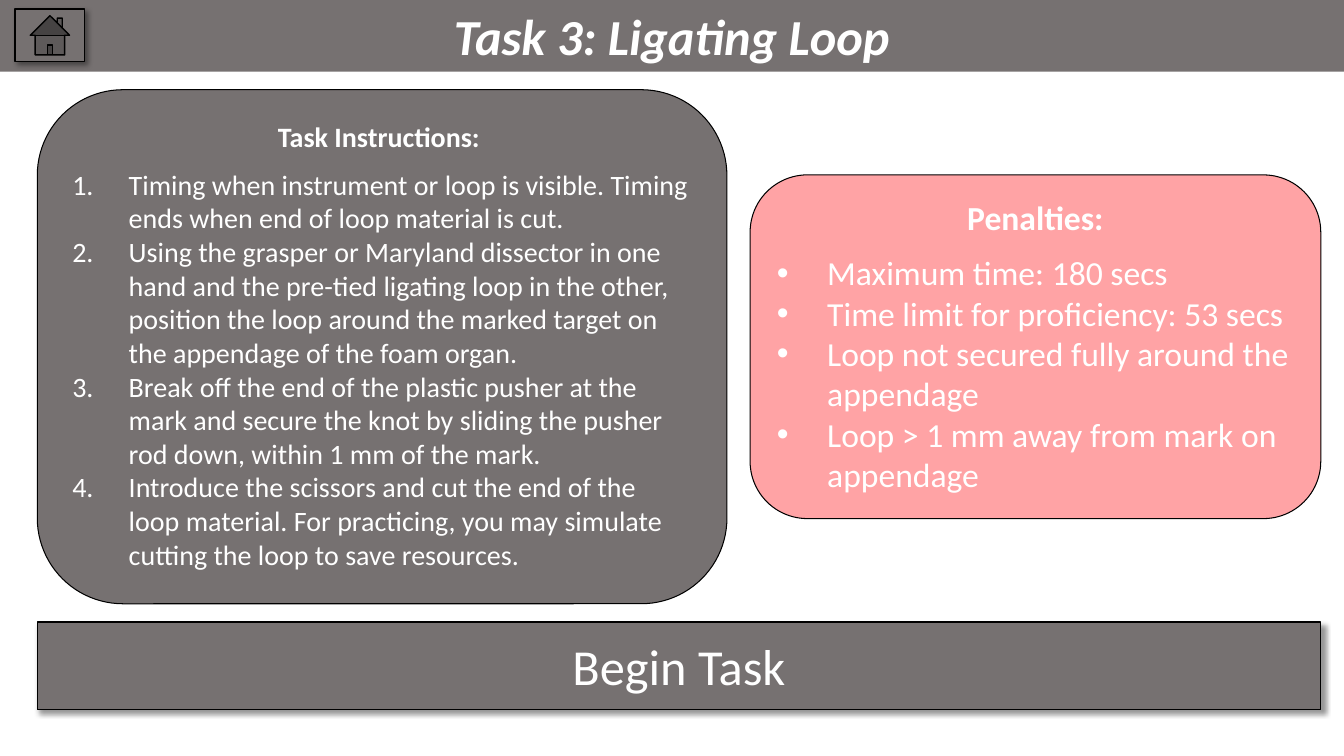
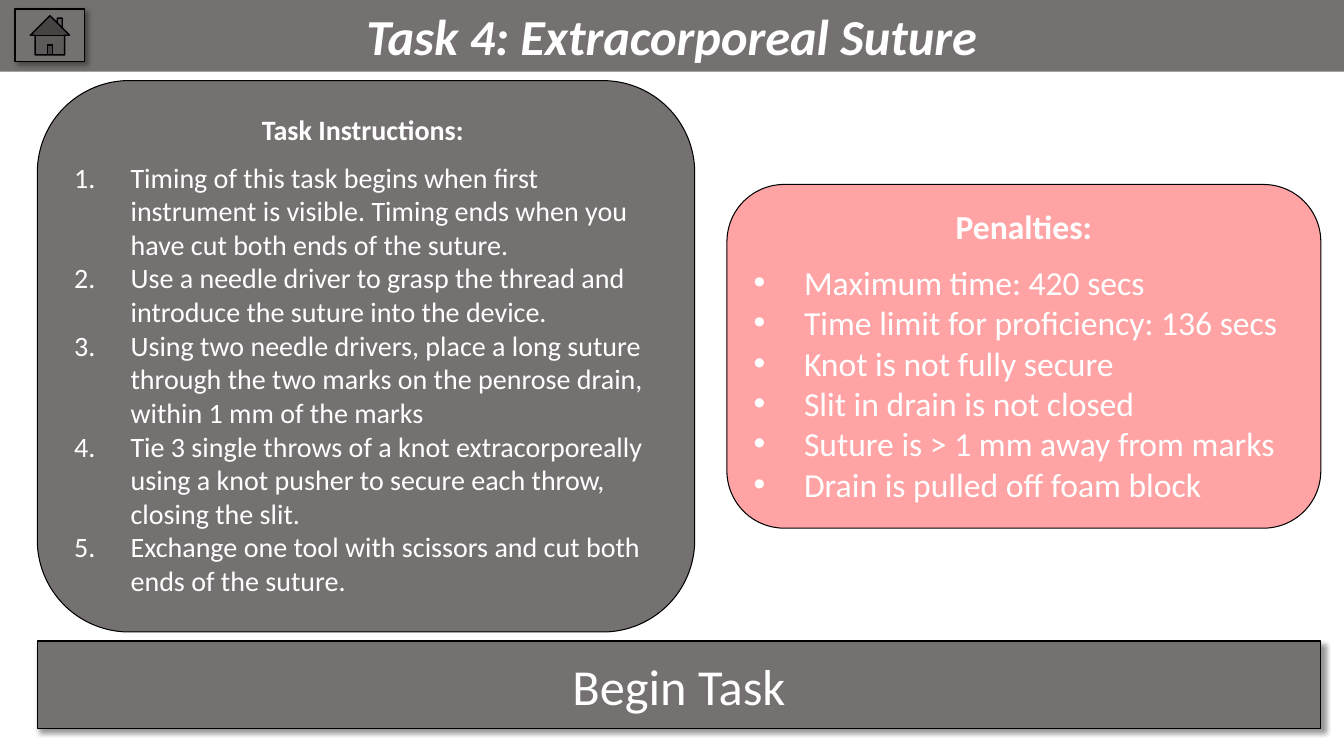
from dataclasses import dataclass

from lxml.etree import SubElement
from pptx import Presentation
from pptx.dml.color import RGBColor
from pptx.enum.shapes import MSO_SHAPE
from pptx.enum.text import MSO_ANCHOR, PP_ALIGN
from pptx.oxml.ns import qn
from pptx.util import Emu, Pt

PX = 9144  # EMU per px, 100 px to the inch
PAGE_WIDTH, PAGE_HEIGHT = 1333, 750
MARGIN_LEFT, MARGIN_RIGHT = 37, 1310
BAR_HEIGHT = 71
PENALTIES_HEIGHT = 341
BUTTON_HEIGHT = 87

FONT = "Calibri"
GREY = RGBColor(0x76, 0x71, 0x71)
PINK = RGBColor(0xFF, 0x7C, 0x80)
BLACK = RGBColor(0, 0, 0)
WHITE = RGBColor(0xFF, 0xFF, 0xFF)


@dataclass
class Task:
    title: str
    instructions: list
    penalties: list
    instructions_size: tuple
    penalties_width: int
    gap: int


@dataclass
class ListStyle:
    size: int
    heading_gap: int
    indent: int
    marker: str
    marker_attributes: dict


NUMBERED = ListStyle(20, 10, 56, "a:buAutoNum", {"type": "arabicPeriod"})
BULLETED = ListStyle(24, 11, 50, "a:buChar", {"char": "•"})

TASKS = [
    Task(
        "Task 3: Ligating Loop",
        [
            "Timing when instrument or loop is visible. Timing ends when end of "
            "loop material is cut.",
            "Using the grasper or Maryland dissector in one hand and the pre-tied "
            "ligating loop in the other, position the loop around the marked "
            "target on the appendage of the foam organ.",
            "Break off the end of the plastic pusher at the mark and secure the "
            "knot by sliding the pusher rod down, within 1 mm of the mark.",
            "Introduce the scissors and cut the end of the loop material. For "
            "practicing, you may simulate cutting the loop to save resources.",
        ],
        [
            "Maximum time: 180 secs",
            "Time limit for proficiency: 53 secs",
            "Loop not secured fully around the appendage",
            "Loop > 1 mm away from mark on appendage",
        ],
        instructions_size=(684, 510), penalties_width=566, gap=18,
    ),
    Task(
        "Task 4: Extracorporeal Suture",
        [
            "Timing of this task begins when first instrument is visible. Timing "
            "ends when you have cut both ends of the suture.",
            "Use a needle driver to grasp the thread and introduce the suture "
            "into the device.",
            "Using two needle drivers, place a long suture through the two marks "
            "on the penrose drain, within 1 mm of the marks",
            "Tie 3 single throws of a knot extracorporeally using a knot pusher "
            "to secure each throw, closing the slit.",
            "Exchange one tool with scissors and cut both ends of the suture.",
        ],
        [
            "Maximum time: 420 secs",
            "Time limit for proficiency: 136 secs",
            "Knot is not fully secure",
            "Slit in drain is not closed",
            "Suture is > 1 mm away from marks",
            "Drain is pulled off foam block",
        ],
        instructions_size=(652, 547), penalties_width=589, gap=9,
    ),
]


def add_box(page, kind, bounds, fill, line_width=0):
    box = page.shapes.add_shape(kind, *(Emu(round(n * PX)) for n in bounds))
    box.shadow.inherit = False
    box.fill.solid()
    box.fill.fore_color.rgb = fill
    if line_width:
        box.line.color.rgb = BLACK
        box.line.width = Pt(line_width)
    else:
        box.line.fill.background()
    box.text_frame.word_wrap = True
    return box


def add_span(para, text, size, bold=False, italic=False):
    span = para.add_run()
    span.text = text
    span.font.name = FONT
    span.font.size = Pt(size)
    span.font.bold = bold
    span.font.italic = italic
    span.font.color.rgb = WHITE


def add_centred_line(box, text, size, bold=False, italic=False):
    box.text_frame.vertical_anchor = MSO_ANCHOR.MIDDLE
    para = box.text_frame.paragraphs[0]
    para.alignment = PP_ALIGN.CENTER
    add_span(para, text, size, bold, italic)
    return para


def add_title_bar(page, title):
    bar = add_box(page, MSO_SHAPE.RECTANGLE, (0, 0, PAGE_WIDTH, BAR_HEIGHT), GREY)
    add_centred_line(bar, title, 36, bold=True, italic=True)


def add_list_panel(page, bounds, fill, heading, items, style):
    panel = add_box(page, MSO_SHAPE.ROUNDED_RECTANGLE, bounds, fill, 0.75)
    first = add_centred_line(panel, heading, style.size, bold=True)
    first.space_after = Pt(style.heading_gap)
    panel.text_frame.vertical_anchor = MSO_ANCHOR.TOP
    for item in items:
        para = panel.text_frame.add_paragraph()
        para.alignment = PP_ALIGN.LEFT
        properties = para._p.get_or_add_pPr()
        properties.set("marL", str(style.indent * PX))
        properties.set("indent", str(-style.indent * PX))
        SubElement(properties, qn("a:buFont"), typeface="Arial" if style is BULLETED else "+mj-lt")
        SubElement(properties, qn(style.marker), style.marker_attributes)
        add_span(para, item, style.size)
    return panel


def set_opacity(box, percent):
    colour = box._element.spPr.find(qn("a:solidFill"))[0]
    SubElement(colour, qn("a:alpha"), val=str(percent * 1000))


def add_button(page, kind, bounds):
    """Add an action button with a soft shadow to its lower right."""
    button = add_box(page, kind, bounds, GREY, 1)
    effects = button._element.spPr.find(qn("a:effectLst"))
    shadow = SubElement(effects, qn("a:outerShdw"), blurRad=str(Pt(4)), dist=str(Pt(3)),
                        dir=str(45 * 60000), algn="tl", rotWithShape="0")
    colour = SubElement(shadow, qn("a:srgbClr"), val=str(BLACK))
    SubElement(colour, qn("a:alpha"), val="40000")
    return button


def add_task_page(deck, task):
    page = deck.slides.add_slide(deck.slide_layouts[6])
    width, height = task.instructions_size
    top = BAR_HEIGHT + task.gap
    add_list_panel(page, (MARGIN_LEFT, top, width, height), GREY,
                   "Task Instructions: ", task.instructions, NUMBERED)
    add_title_bar(page, task.title)

    penalties_bounds = (MARGIN_RIGHT - task.penalties_width,
                        top + (height - PENALTIES_HEIGHT) / 2,
                        task.penalties_width, PENALTIES_HEIGHT)
    penalties = add_list_panel(page, penalties_bounds, PINK, "Penalties:",
                               task.penalties, BULLETED)
    set_opacity(penalties, 70)

    begin = add_button(page, MSO_SHAPE.ACTION_BUTTON_CUSTOM,
                       (MARGIN_LEFT, top + height + task.gap,
                        MARGIN_RIGHT - MARGIN_LEFT, BUTTON_HEIGHT))
    add_centred_line(begin, "Begin Task", 36)
    add_button(page, MSO_SHAPE.ACTION_BUTTON_HOME, (15, 9, 69, 52))


def main():
    deck = Presentation()
    deck.slide_width = Emu(PAGE_WIDTH * PX)
    deck.slide_height = Emu(PAGE_HEIGHT * PX)
    for task in TASKS:
        add_task_page(deck, task)
    deck.save("out.pptx")


if __name__ == "__main__":
    main()
